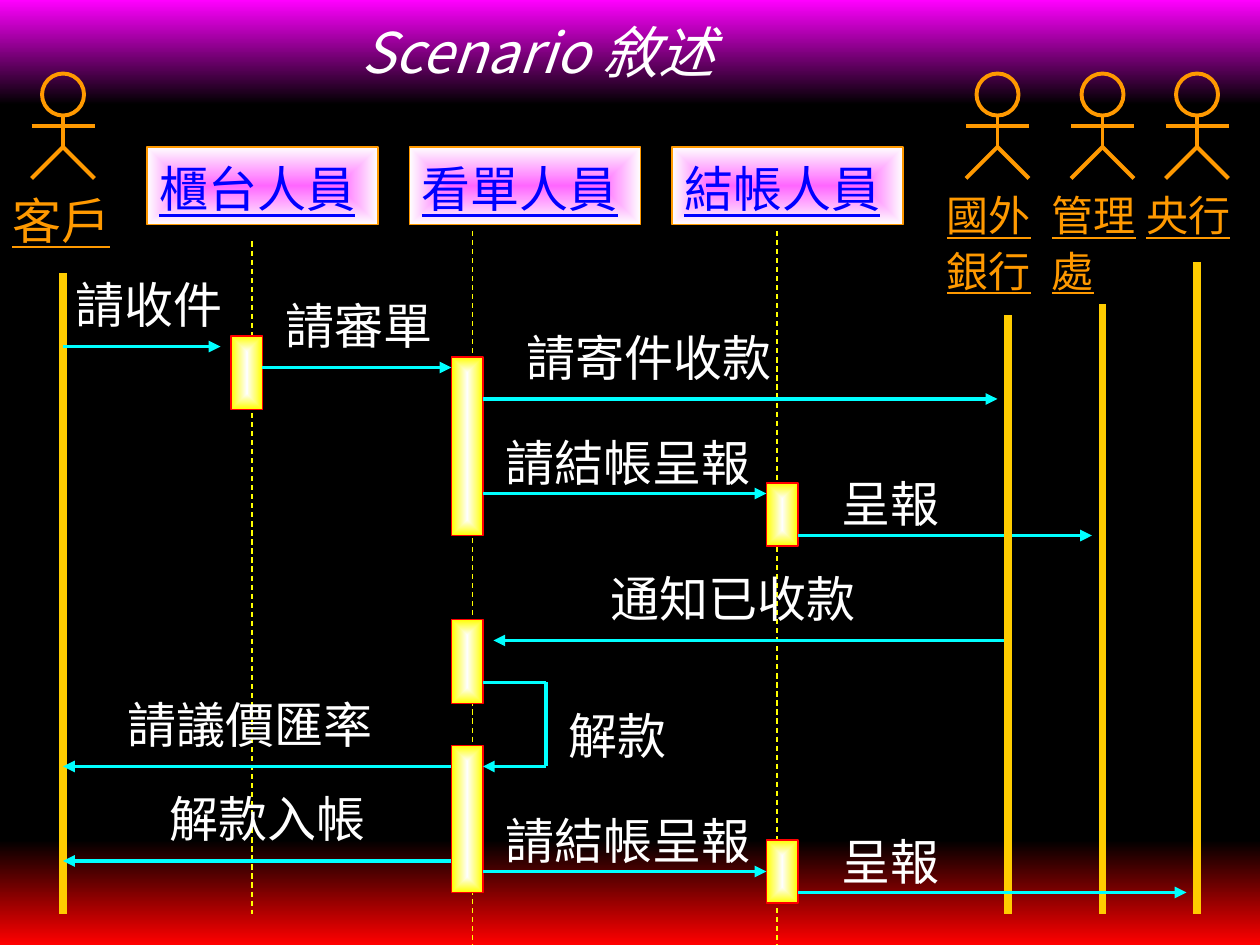
import pptx
import pptx.util
import pptx.dml.color
import pptx.enum.dml
import pptx.enum.shapes
import pptx.enum.text
import pptx.oxml
import pptx.oxml.ns

PX = 7620  # EMU per px, 120 px to the inch
COLORS = {
    "black": "000000", "white": "FFFFFF", "magenta": "FF00FF", "red": "FF0000",
    "actor": "FF9900", "lifeline": "FFCC00", "yellow": "FFFF00",
    "message": "00FFFF", "role": "0000FF", "pink": "FF66FF", "glow": "FEFEFE",
}
PATH_XML = (
    '<a:path %s path="rect"><a:fillToRect l="50000" t="50000" r="50000" b="50000"/></a:path>'
    % pptx.oxml.ns.nsdecls("a")
)


def rgb(name):
    return pptx.dml.color.RGBColor.from_string(COLORS[name])


class SequenceDiagram:
    font = "Times New Roman"
    title_font = "Noto Sans CJK SC"
    stroke = 2.25

    def __init__(self, slide):
        self.slide = slide

    def outline(self, line, color, width):
        line.color.rgb = rgb(color)
        line.width = pptx.util.Pt(width)

    def shape(self, kind, left, top, width, height, border=None, weight=0.75):
        shape = self.slide.shapes.add_shape(
            kind, left * PX, top * PX, width * PX, height * PX)
        shape.shadow.inherit = False
        if border:
            self.outline(shape.line, border, weight)
        else:
            shape.line.fill.background()
        return shape

    def gradient_box(self, left, top, width, height, start, end, border=None):
        """Bordered boxes shade from the centre, plain bands from the top."""
        shape = self.shape(pptx.enum.shapes.MSO_SHAPE.RECTANGLE,
                           left, top, width, height, border)
        shape.fill.gradient()
        shape.fill.gradient_angle = 270
        for stop, color, position in zip(shape.fill.gradient_stops, (start, end), (0, 1)):
            stop.color.rgb = rgb(color)
            stop.position = position
        if border:
            linear = shape.element.spPr.find(".//" + pptx.oxml.ns.qn("a:lin"))
            linear.getparent().replace(linear, pptx.oxml.parse_xml(PATH_XML))
        return shape

    def set_text(self, shape, text, color, size, underline=False):
        frame = shape.text_frame
        frame.word_wrap = True
        frame.vertical_anchor = pptx.enum.text.MSO_ANCHOR.TOP
        paragraph = frame.paragraphs[0]
        paragraph.text = text
        paragraph.alignment = pptx.enum.text.PP_ALIGN.LEFT
        paragraph.line_spacing = 1.1
        paragraph.font.name = self.font
        paragraph.font.size = pptx.util.Pt(size)
        paragraph.font.color.rgb = rgb(color)
        if underline:
            paragraph.font.underline = True
        return paragraph

    def title(self, shape, text, left, top):
        paragraph = self.set_text(shape, text, "white", 32)
        paragraph.line_spacing = 1.0
        paragraph.font.name = self.title_font
        paragraph.font.italic = True
        shape.text_frame.margin_left = left * PX
        shape.text_frame.margin_top = top * PX

    def label(self, text, left, top, width, height=74, color="white", size=28, underline=False):
        box = self.slide.shapes.add_textbox(left * PX, top * PX, width * PX, height * PX)
        self.set_text(box, text, color, size, underline)

    def line(self, x1, y1, x2, y2, color, width=stroke, dash=False, arrow=False):
        connector = self.slide.shapes.add_connector(
            pptx.enum.shapes.MSO_CONNECTOR.STRAIGHT, x1 * PX, y1 * PX, x2 * PX, y2 * PX)
        self.outline(connector.line, color, width)
        properties = connector.element.spPr
        if dash:
            connector.line.dash_style = pptx.enum.dml.MSO_LINE.DASH
        if arrow:
            properties.find(pptx.oxml.ns.qn("a:ln")).append(pptx.oxml.parse_xml(
                '<a:tailEnd %s type="triangle"/>' % pptx.oxml.ns.nsdecls("a")))
        properties.append(pptx.oxml.parse_xml(
            "<a:effectLst %s/>" % pptx.oxml.ns.nsdecls("a")))

    def actor(self, name, center, label_left, label_width, label_height, size, life_x, life_top):
        head = self.shape(pptx.enum.shapes.MSO_SHAPE.OVAL,
                          center - 20, 70, 40, 40, "actor", self.stroke)
        head.fill.background()
        limbs = [(-30, 120, 30, 120), (0, 110, 0, 140), (0, 140, -30, 170), (0, 140, 30, 170)]
        for x1, y1, x2, y2 in limbs:
            self.line(center + x1, y1, center + x2, y2, "actor")
        self.line(life_x, life_top, life_x, 870, "lifeline", 4.5)
        self.label(name, label_left, 170, label_width, label_height, "actor", size, True)

    def role(self, name, left, life_x, life_top, life_bottom):
        box = self.gradient_box(left, 140, 220, 74, "pink", "glow", "actor")
        self.set_text(box, name, "role", 28, True)
        self.line(life_x, life_top, life_x, life_bottom, "yellow", 0.75, dash=True)

    def activation(self, left, top, height):
        self.gradient_box(left, top, 30, height, "glow", "yellow", "red")

    def message(self, text, x1, x2, y, label_left, label_top, label_width):
        self.line(x1, y, x2, y, "message", arrow=True)
        self.label(text, label_left, label_top, label_width)


def main():
    presentation = pptx.Presentation()
    presentation.slide_width = 1200 * PX
    presentation.slide_height = 900 * PX
    slide = presentation.slides.add_slide(presentation.slide_layouts[6])
    slide.background.fill.solid()
    slide.background.fill.fore_color.rgb = rgb("black")
    diagram = SequenceDiagram(slide)

    # Bands and title
    header = diagram.gradient_box(0, 0, 1200, 100, "magenta", "black")
    diagram.title(header, "Scenario 敘述", 344, 17)
    diagram.gradient_box(0, 800, 1200, 100, "black", "red")

    # Customer and internal roles
    diagram.actor("客戶", 60, 0, 120, 74, 28, 60, 260)
    diagram.role("櫃台人員", 140, 240, 230, 870)
    diagram.role("看單人員", 390, 450, 220, 900)
    diagram.role("結帳人員", 640, 740, 220, 900)

    # Activation bars
    for left, top, height in [(220, 320, 70), (430, 340, 170), (430, 590, 80),
                              (430, 710, 140), (730, 460, 60), (730, 800, 60)]:
        diagram.activation(left, top, height)

    # Messages: text, from, to, height, label left, top and width
    for message in [
        ("請收件", 60, 210, 330, 60, 250, 170),
        ("請審單", 250, 430, 350, 260, 270, 220),
        ("請寄件收款", 460, 950, 380, 490, 300, 280),
        ("請結帳呈報", 460, 730, 470, 470, 400, 270),
        ("呈報", 760, 1040, 510, 790, 440, 140),
        ("通知已收款", 960, 470, 610, 570, 530, 260),
        ("請議價匯率", 430, 60, 730, 110, 650, 270),
        ("解款入帳", 430, 60, 820, 150, 740, 270),
        ("請結帳呈報", 460, 730, 830, 470, 760, 270),
    ]:
        diagram.message(*message)

    # Message to self
    diagram.line(460, 650, 520, 650, "message")
    diagram.line(520, 650, 520, 730, "message")
    diagram.message("解款", 520, 460, 730, 530, 660, 120)

    # Outside parties, whose lifelines pass over the earlier messages
    diagram.actor("央行", 1140, 1080, 120, 65, 24, 1140, 250)
    diagram.actor("管理處", 1050, 990, 110, 118, 24, 1050, 290)
    diagram.actor("國外銀行", 950, 890, 110, 118, 24, 960, 300)

    # Final report crosses those lifelines
    diagram.message("呈報", 760, 1130, 850, 790, 780, 140)

    presentation.save("out.pptx")


if __name__ == "__main__":
    main()
